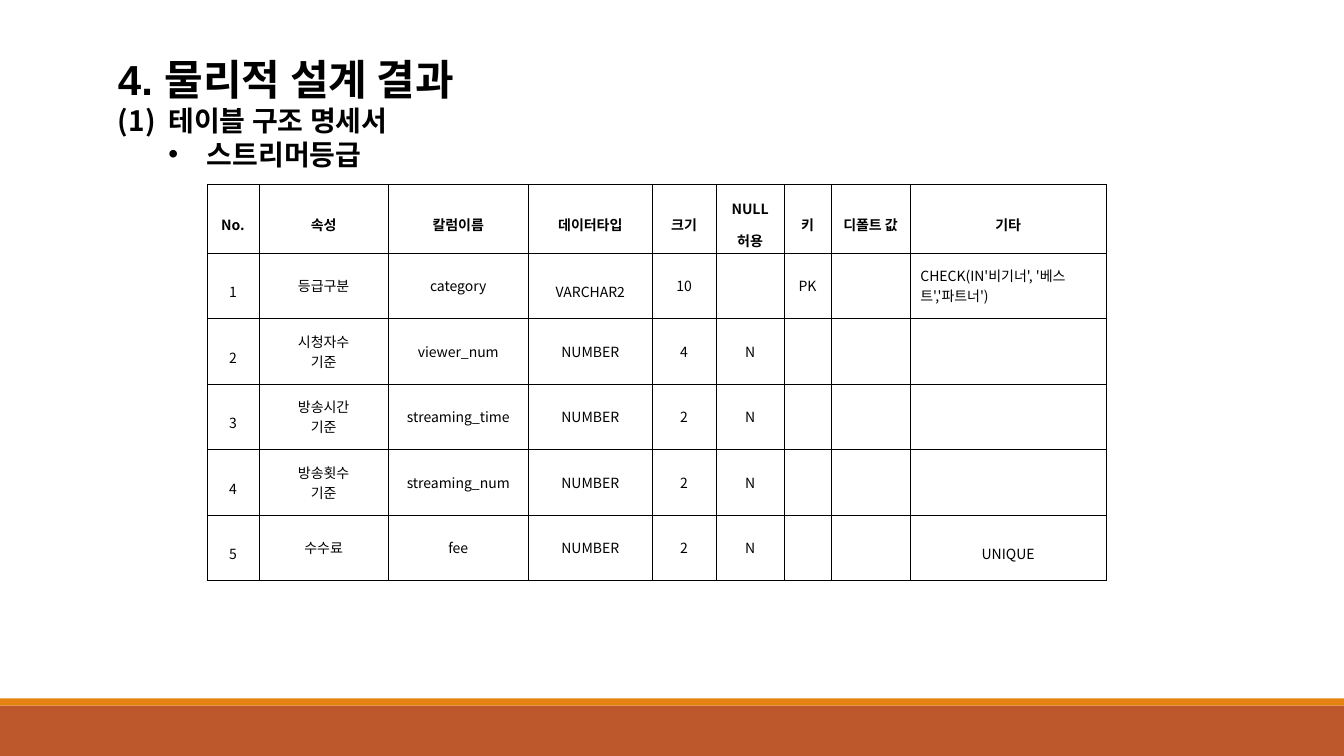
"""Build the slide that specifies the streamer grade table."""
from lxml import etree
from pptx import Presentation
from pptx.dml.color import RGBColor
from pptx.enum.shapes import MSO_SHAPE
from pptx.enum.text import MSO_ANCHOR, PP_ALIGN
from pptx.oxml.ns import qn
from pptx.util import Inches, Pt

RECTANGLE = MSO_SHAPE.RECTANGLE
TOP, MIDDLE = MSO_ANCHOR.TOP, MSO_ANCHOR.MIDDLE
LEFT, CENTER = PP_ALIGN.LEFT, PP_ALIGN.CENTER

BLACK = "000000"
TITLE_FONT, TABLE_FONT = "Arial", "Noto Sans CJK KR"
HEADINGS = [
    ("4. 물리적 설계 결과", 30, 0, 0, None),
    ("테이블 구조 명세서", 20, 0.5, -0.5, ("a:buAutoNum", {"type": "arabicParenBoth"})),
    ("스트리머등급", 20, 0.88, -0.38, ("a:buChar", {"char": "•"})),
]
BARS = [(7, 0.5, "BD582C"), (6.93, 0.07, "E48312")]
COLUMN_WIDTHS = [0.52, 1.28, 1.39, 1.23, 0.63, 0.68, 0.46, 0.79, 1.94]
ROW_HEIGHT = 0.65
ROWS = [
    ["No.", "속성", "칼럼이름", "데이터타입", "크기", "NULL 허용", "키", "디폴트 값", "기타"],
    ["1", "등급구분", "category", "VARCHAR2", "10", "", "PK", "",
     "CHECK(IN'비기너', '베스트','파트너')"],
    ["2", "시청자수\n기준", "viewer_num", "NUMBER", "4", "N", "", "", ""],
    ["3", "방송시간\n기준", "streaming_time", "NUMBER", "2", "N", "", "", ""],
    ["4", "방송횟수\n기준", "streaming_num", "NUMBER", "2", "N", "", "", ""],
    ["5", "수수료", "fee", "NUMBER", "2", "N", "", "", "UNIQUE"],
]
LOOSE_VALUES = ("VARCHAR2", "UNIQUE")


def color(value):
    return RGBColor.from_string(value)


def apply(target, values):
    for name, value in values.items():
        setattr(target, name, value)


def style_font(font, face, size, bold):
    apply(font, {"name": face, "size": Pt(size), "bold": bold})
    font.color.rgb = color(BLACK)


def add_bar(page, width, top, height, fill):
    bar = page.shapes.add_shape(RECTANGLE, 0, Inches(top), width, Inches(height))
    bar.shadow.inherit = False
    bar.fill.solid()
    bar.fill.fore_color.rgb = color(fill)
    bar.line.fill.background()


def write_headings(title):
    apply(title, {"left": Inches(1.07), "top": Inches(0.48),
                  "width": Inches(4.84), "height": Inches(1.28)})
    frame = title.text_frame
    apply(frame, {"word_wrap": True, "vertical_anchor": TOP})
    frame.text = "\n".join(heading[0] for heading in HEADINGS)
    for para, (_, size, margin, indent, bullet) in zip(frame.paragraphs, HEADINGS):
        apply(para, {"alignment": LEFT, "line_spacing": Pt(size * 1.2)})
        properties = para._p.get_or_add_pPr()
        properties.set("marL", str(Inches(margin)))
        properties.set("indent", str(Inches(indent)))
        if bullet:
            tag, attributes = bullet
            etree.SubElement(properties, qn("a:buFont"), typeface=TITLE_FONT)
            etree.SubElement(properties, qn(tag), attributes)
        style_font(para.runs[0].font, TITLE_FONT, size, True)


def add_borders(cell):
    properties = cell._tc.get_or_add_tcPr()
    for position, side in enumerate(("a:lnL", "a:lnR", "a:lnT", "a:lnB")):
        line = etree.Element(qn(side), w=str(Pt(0.28)))
        fill = etree.SubElement(line, qn("a:solidFill"))
        etree.SubElement(fill, qn("a:srgbClr"), val=BLACK)
        properties.insert(position, line)


def write_cell(cell, text, row, column):
    header = row == 0
    compact = header or column == 0
    side, edge = (0.07, 0.02) if compact else (0.1, 0.05)
    apply(cell, {"text": text, "vertical_anchor": MIDDLE,
                 "margin_left": Inches(side), "margin_right": Inches(side),
                 "margin_top": Inches(edge), "margin_bottom": Inches(edge)})
    cell.fill.background()
    add_borders(cell)
    for para in cell.text_frame.paragraphs:
        para.alignment = LEFT if text.startswith("CHECK") else CENTER
        if compact or text in LOOSE_VALUES:
            para.line_spacing = 1.6
        style_font(para.font, TABLE_FONT, 10, header)
        for span in para.runs:
            style_font(span.font, TABLE_FONT, 10, header)


def add_specification(page):
    frame = page.shapes.add_table(
        len(ROWS), len(COLUMN_WIDTHS), Inches(2.05), Inches(1.83),
        Inches(sum(COLUMN_WIDTHS)), Inches(ROW_HEIGHT * len(ROWS)))
    table = frame.table
    apply(table, {"first_row": False, "horz_banding": False})
    for column, width in zip(table.columns, COLUMN_WIDTHS):
        column.width = Inches(width)
    for row, values in enumerate(ROWS):
        table.rows[row].height = Inches(ROW_HEIGHT)
        for column, text in enumerate(values):
            write_cell(table.cell(row, column), text, row, column)


def main():
    deck = Presentation()
    apply(deck, {"slide_width": Inches(13.33), "slide_height": Inches(7.5)})
    page = deck.slides.add_slide(deck.slide_layouts[5])
    for bar in BARS:
        add_bar(page, deck.slide_width, *bar)
    write_headings(page.shapes.title)
    add_specification(page)
    deck.save("out.pptx")


if __name__ == "__main__":
    main()
